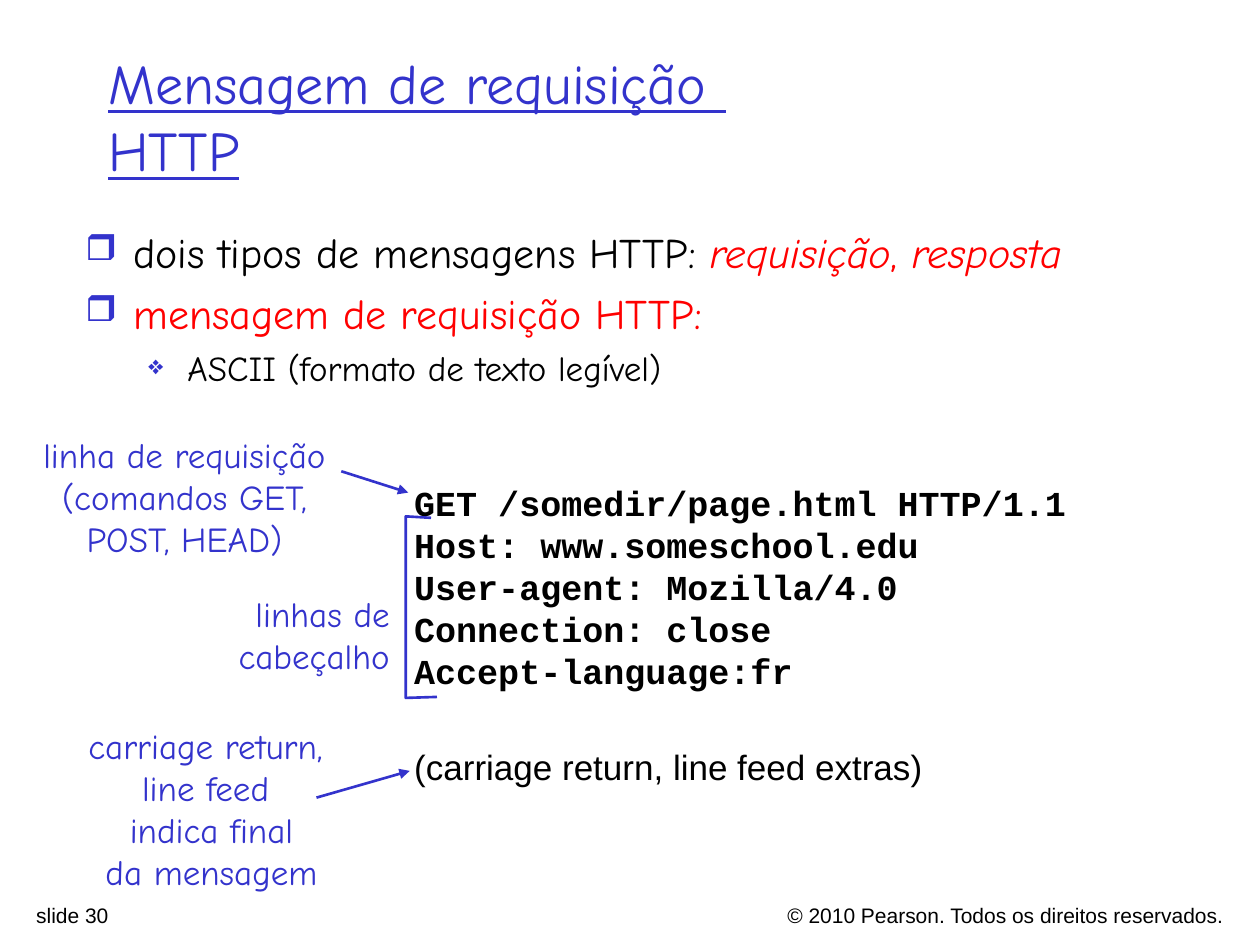
"""Build a slide explaining the HTTP request message."""
from lxml import etree
from pptx import Presentation
from pptx import util as u
from pptx.dml.color import RGBColor
from pptx.enum import shapes, text
from pptx.oxml.ns import qn

BLUE = RGBColor(0x33, 0x33, 0xCC)
RED = RGBColor(0xFF, 0, 0)
BLACK = RGBColor(0, 0, 0)
HAND, SANS, MONO = "Comic Neue", "Arial", "Courier New"
LEFT, CENTER, RIGHT = text.PP_ALIGN.LEFT, text.PP_ALIGN.CENTER, text.PP_ALIGN.RIGHT

FOOTERS = [
    ((11.94, 18.06, 12.98, 0.61), "© 2010 Pearson. Todos os direitos reservados.", RIGHT),
    ((0.48, 18.06, 8.94, 0.61), "slide 30", LEFT),
]
TITLE = "Mensagem de requisição \vHTTP"
BULLETS = [
    (0, [("dois tipos de mensagens HTTP: ", BLACK, False), ("requisição", RED, True),
         (", ", RED, False), ("resposta", RED, True)]),
    (0, [("mensagem de requisição HTTP:", RED, False)]),
    (1, [("ASCII (formato de texto legível)", BLACK, False)]),
]
LEVELS = [
    dict(size=24, before=6, margin=0.97, hang=0.97, char="❒", percent=85),
    dict(size=20, before=5, margin=2.06, hang=0.79, char="❖", percent=75),
]
MESSAGE = ["GET /somedir/page.html HTTP/1.1", "Host: www.someschool.edu",
           "User-agent: Mozilla/4.0", "Connection: close", "Accept-language:fr",
           "(carriage return, line feed extras)"]
LABELS = [
    ((0.61, 8.61, 6.22, 2.79), ["linha de requisição", "(comandos GET,\vPOST, HEAD)"], CENTER),
    ((4.55, 11.81, 3.56, 1.96), ["linhas de", "cabeçalho"], RIGHT),
    ((1.52, 14.48, 5.49, 3.66),
     ["carriage return, ", "line feed ", "indica final\vda mensagem"], CENTER),
]
ARROWS = [(6.88, 9.5, 8.23, 9.93), (6.38, 16.08, 8.26, 15.54)]
BRACKET = [(8.69, 10.44), (8.18, 10.41), (8.18, 14.07), (8.81, 14.05)]


def style(r, font, size, color):
    r.font.name, r.font.size = font, u.Pt(size)
    r.font.color.rgb = color


def add_text(s, box, lines, font, size, color, align=LEFT, wrap=True):
    tf = s.shapes.add_textbox(*map(u.Cm, box)).text_frame
    tf.word_wrap = wrap
    if not wrap:
        tf.auto_size = text.MSO_AUTO_SIZE.SHAPE_TO_FIT_TEXT
    tf.text = "\n".join(lines)
    for p in tf.paragraphs:
        p.alignment = align
        for r in p.runs:
            style(r, font, size, color)
    return tf


def set_bullet(p, level):
    pPr = p._p.get_or_add_pPr()
    pPr.set("marL", str(u.Cm(level["margin"])))
    pPr.set("indent", str(-u.Cm(level["hang"])))
    color = etree.SubElement(pPr, qn("a:buClr"))
    etree.SubElement(color, qn("a:srgbClr"), val=str(BLUE))
    etree.SubElement(pPr, qn("a:buSzPct"), val=str(level["percent"] * 1000))
    etree.SubElement(pPr, qn("a:buChar"), char=level["char"])


def add_bullets(s, box):
    tf = s.shapes.add_textbox(*map(u.Cm, box)).text_frame
    tf.word_wrap = True
    for i, (depth, runs) in enumerate(BULLETS):
        p = tf.add_paragraph() if i else tf.paragraphs[0]
        level = LEVELS[depth]
        p.level = depth
        set_bullet(p, level)
        if i:
            p.space_before = u.Pt(level["before"])
        for words, color, italic in runs:
            r = p.add_run()
            r.text = words
            style(r, HAND, level["size"], color)
            r.font.italic = italic


def add_message(s, box):
    tf = add_text(s, box, MESSAGE, MONO, 20, BLACK, wrap=False)
    *code, ending = tf.paragraphs
    for p in code:
        p.runs[0].font.bold = True
    ending.space_before = u.Pt(31)
    ending.runs[0].font.name = SANS


def set_line(sp):
    sp.line.color.rgb = BLUE
    sp.line.width = u.Pt(1.5)


def add_arrow(s, ends):
    sp = s.shapes.add_connector(shapes.MSO_CONNECTOR.STRAIGHT, *map(u.Cm, ends))
    set_line(sp)
    etree.SubElement(sp.line._get_or_add_ln(), qn("a:tailEnd"), type="triangle")
    etree.SubElement(sp._element.spPr, qn("a:effectLst"))


def add_bracket(s):
    start, *rest = [(u.Cm(x), u.Cm(y)) for x, y in BRACKET]
    builder = s.shapes.build_freeform(*start)
    builder.add_line_segments(rest, close=False)
    sp = builder.convert_to_shape()
    sp.fill.background()
    set_line(sp)
    sp.shadow.inherit = False


def main():
    prs = Presentation()
    prs.slide_width, prs.slide_height = u.Cm(25.4), u.Cm(19.05)
    s = prs.slides.add_slide(prs.slide_layouts[6])
    for box, words, align in FOOTERS:
        add_text(s, box, [words], SANS, 12, BLACK, align)
    tf = add_text(s, (1.93, 0.74, 21.59, 3.18), [TITLE], HAND, 32, BLUE)
    tf.vertical_anchor = text.MSO_ANCHOR.MIDDLE
    for r in tf.paragraphs[0].runs:
        r.font.underline = True
    add_bullets(s, (1.47, 4.45, 23.04, 3.68))
    add_message(s, (8.1, 9.58, 13.67, 6.53))
    for box, lines, align in LABELS:
        add_text(s, box, lines, HAND, 20, BLUE, align, wrap=False)
    for ends in ARROWS:
        add_arrow(s, ends)
    add_bracket(s)
    prs.save("out.pptx")


if __name__ == "__main__":
    main()
